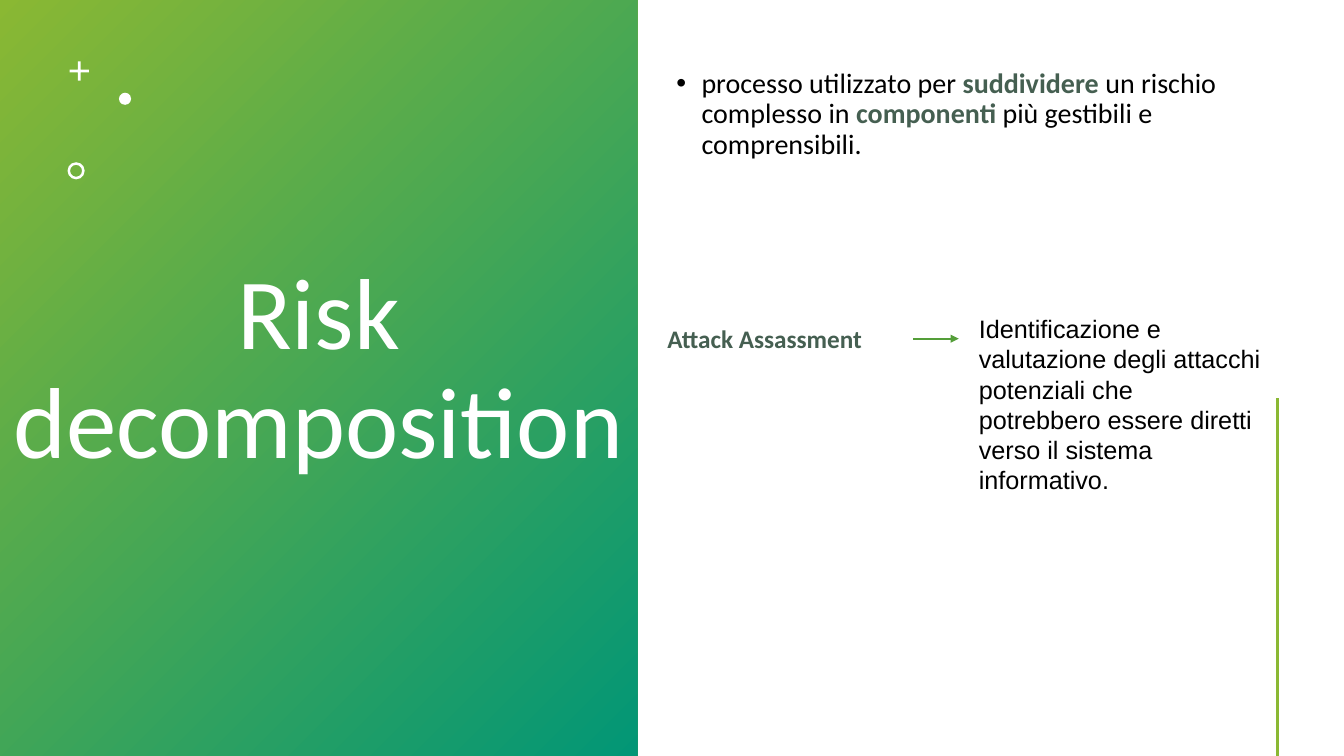
from dataclasses import dataclass

from lxml import etree
from pptx import Presentation
from pptx.dml.color import RGBColor
from pptx.enum.shapes import MSO_CONNECTOR, MSO_SHAPE
from pptx.enum.text import MSO_ANCHOR, PP_ALIGN
from pptx.oxml.ns import qn
from pptx.util import Inches, Pt

RECT, OVAL = MSO_SHAPE.RECTANGLE, MSO_SHAPE.OVAL
CROSS, DONUT = MSO_SHAPE.CROSS, MSO_SHAPE.DONUT
STRAIGHT = MSO_CONNECTOR.STRAIGHT
TOP, MIDDLE = MSO_ANCHOR.TOP, MSO_ANCHOR.MIDDLE
LEFT, CENTER = PP_ALIGN.LEFT, PP_ALIGN.CENTER


@dataclass(frozen=True)
class Theme:
    lime: RGBColor = RGBColor(0x8A, 0xB8, 0x33)
    teal: RGBColor = RGBColor(0x02, 0x96, 0x76)
    green: RGBColor = RGBColor(0x54, 0x9E, 0x39)
    accent: RGBColor = RGBColor(0x45, 0x5F, 0x51)
    white: RGBColor = RGBColor(0xFF, 0xFF, 0xFF)
    black: RGBColor = RGBColor(0, 0, 0)
    title: int = 72
    body: int = 20
    label: int = 18
    head_font: str = "Calibri"
    note_font: str = "Arial"


T = Theme()
PANEL_W = 6.32


def set_attrs(obj, values):
    for name, value in values.items():
        setattr(obj, name, value)


def add_shape(s, kind, box, color=None, adj=None):
    sp = s.shapes.add_shape(kind, *map(Inches, box))
    sp.shadow.inherit = False
    sp.line.fill.background()
    if color is not None:
        sp.fill.solid()
        sp.fill.fore_color.rgb = color
    if adj is not None:
        sp.adjustments[0] = adj
    return sp


def add_panel(s):
    sp = add_shape(s, RECT, (0, 0, PANEL_W, 7.5))
    sp.fill.gradient()
    sp.fill.gradient_angle = 315
    for stop, color, pos in zip(sp.fill.gradient_stops, (T.lime, T.teal), (0, 1)):
        stop.color.rgb = color
        stop.position = pos


def add_line(s, start, end, color, width, arrow=False):
    ln = s.shapes.add_connector(STRAIGHT, *map(Inches, start + end))
    ln.line.color.rgb = color
    ln.line.width = Pt(width)
    if arrow:
        etree.SubElement(ln.line._get_or_add_ln(), qn("a:tailEnd"), type="triangle")
    etree.SubElement(ln._element.spPr, qn("a:effectLst"))


def add_bullet(p):
    pPr = p._p.get_or_add_pPr()
    pPr.set("marL", str(Inches(0.25)))
    pPr.set("indent", str(-Inches(0.25)))
    etree.SubElement(pPr, qn("a:buFont"), typeface="Arial")
    etree.SubElement(pPr, qn("a:buChar"), char="•")


def add_text(s, box, runs, size, font=T.head_font, anchor=TOP, align=LEFT,
             spacing=1.0, bullet=False, wrap=True):
    """Each run is (text, colour, bold)."""
    tf = s.shapes.add_textbox(*map(Inches, box)).text_frame
    set_attrs(tf, {"word_wrap": wrap, "vertical_anchor": anchor})
    p = tf.paragraphs[0]
    set_attrs(p, {"alignment": align, "line_spacing": spacing})
    if bullet:
        add_bullet(p)
    for text, color, bold in runs:
        r = p.add_run()
        r.text = text
        set_attrs(r.font, {"name": font, "size": Pt(size), "bold": bold})
        r.font.color.rgb = color


def main():
    prs = Presentation()
    prs.slide_width, prs.slide_height = Inches(13.33), Inches(7.5)
    s = prs.slides.add_slide(prs.slide_layouts[6])

    # Title panel
    add_panel(s)
    add_text(s, (0, 0.42, PANEL_W, 6.53),
             [("Risk decomposition", T.white, False)],
             T.title, anchor=MIDDLE, align=CENTER, spacing=0.9)

    # Panel ornaments
    add_shape(s, CROSS, (0.69, 0.61, 0.19, 0.19), T.white, 0.43)
    add_shape(s, OVAL, (1.18, 0.92, 0.12, 0.12), T.white)
    add_shape(s, DONUT, (0.67, 1.61, 0.17, 0.17), T.white, 0.15)

    # Definition
    add_text(s, (6.61, 0.64, 6, 1.36), [
        ("processo utilizzato per ", T.black, False),
        ("suddividere", T.accent, True),
        (" un rischio complesso in ", T.black, False),
        ("componenti", T.accent, True),
        (" più gestibili e comprensibili.", T.black, False),
    ], T.body, spacing=0.9, bullet=True)

    # Side rule
    add_line(s, (12.67, 3.95), (12.67, 7.5), T.lime, 2)

    # Attack assessment and its explanation
    add_text(s, (6.52, 3.16, 2.52, 0.4),
             [("Attack Assassment", T.accent, True)], T.label, wrap=False)
    add_line(s, (9.06, 3.36), (9.51, 3.36), T.green, 1.5, arrow=True)
    add_text(s, (9.61, 3.06, 3, 2.22), [
        ("Identificazione e valutazione degli attacchi potenziali che "
         "potrebbero essere diretti verso il sistema informativo.", T.black, False),
    ], T.label, font=T.note_font)

    prs.save("out.pptx")


if __name__ == "__main__":
    main()
